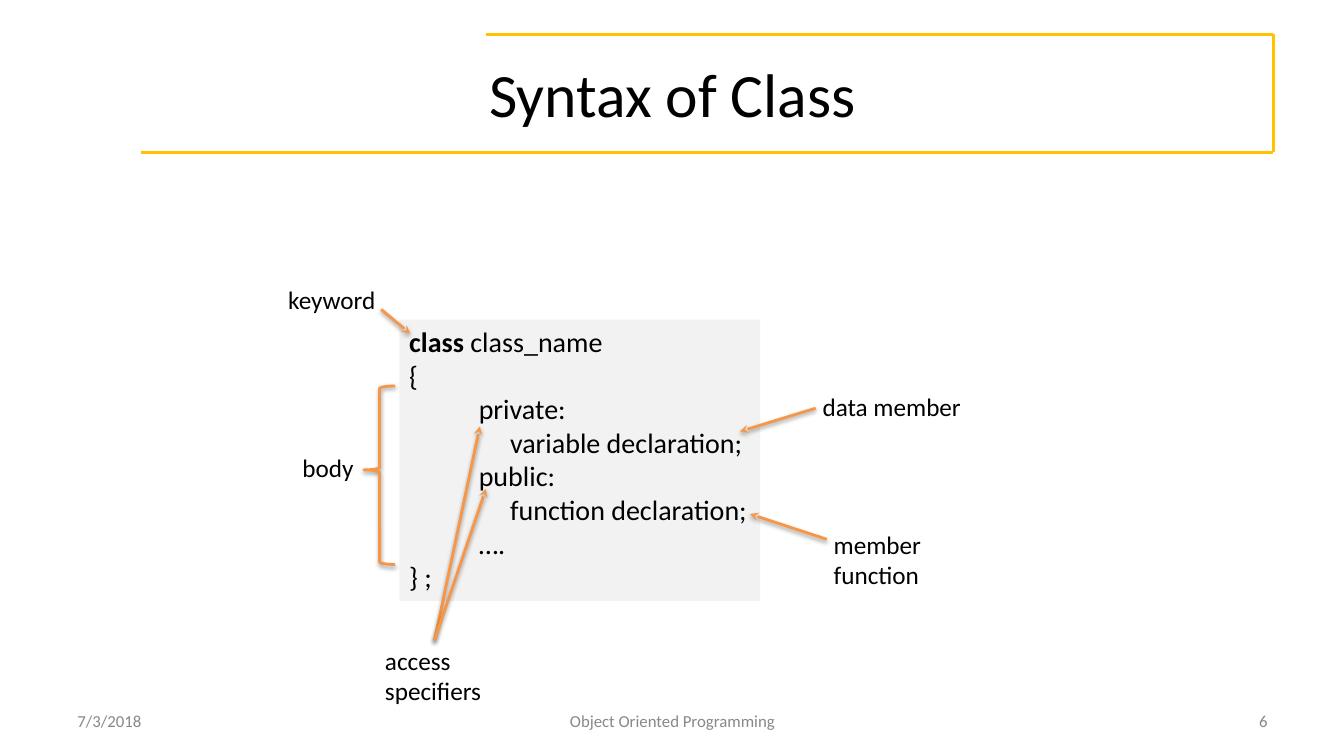
from lxml import etree
from pptx import Presentation
from pptx.dml.color import RGBColor
from pptx.enum.shapes import MSO_CONNECTOR, MSO_SHAPE
from pptx.enum.text import MSO_ANCHOR, PP_ALIGN
from pptx.oxml.ns import qn
from pptx.util import Emu, Pt

PX = 9144  # 100 px to the inch
FONT = "Calibri"
COLORS = {
    "frame": "FFC100",
    "accent": "F79646",
    "panel": "F2F2F2",
    "text": "000000",
    "footer": "888888",
    "shadow": "000000",
}
LEFT, CENTER, RIGHT = PP_ALIGN.LEFT, PP_ALIGN.CENTER, PP_ALIGN.RIGHT
TOP, MIDDLE = MSO_ANCHOR.TOP, MSO_ANCHOR.MIDDLE
STRAIGHT = MSO_CONNECTOR.STRAIGHT
RECTANGLE, LEFT_BRACE = MSO_SHAPE.RECTANGLE, MSO_SHAPE.LEFT_BRACE

FRAME = [(482, 34), (1263, 34), (1263, 151), (140, 151)]
# Each code line is its indent and its runs, as (text, bold).
CODE = [
    (0, [("class", True), (" class_name", False)]),
    (0, [("{", False)]),
    (69, [("private:", False)]),
    (100, [("variable declaration;", False)]),
    (69, [("public:", False)]),
    (100, [("function declaration;", False)]),
    (69, [("….", False)]),
    (0, [("} ;", False)]),
]
LABELS = [
    ("keyword", (276, 277, 108, 40)),
    ("body", (290, 444, 72, 40)),
    ("data member", (806, 383, 159, 40)),
    ("member\nfunction", (817, 520, 114, 71)),
    ("access\nspecifiers", (372, 635, 117, 71)),
]
ARROWS = [
    ((378, 307), (407, 331)),
    ((809, 405), (734, 428)),
    ((820, 535), (744, 510)),
    ((431, 635), (476, 423)),
    ((431, 635), (482, 485)),
]
FOOTERS = [
    ("7/3/2018", (67, 695, 311, 40), LEFT),
    ("Object Oriented Programming", (456, 695, 422, 40), CENTER),
    ("6", (956, 695, 311, 40), RIGHT),
]


def px(*values):
    return [Emu(v * PX) for v in values]


def rgb(name):
    return RGBColor.from_string(COLORS[name])


def add_run(p, text, size, color="text", bold=False):
    r = p.add_run()
    r.text = text
    r.font.name = FONT
    r.font.size = Pt(size)
    r.font.bold = bold
    r.font.color.rgb = rgb(color)


def add_text(s, text, box, size, color="text", align=LEFT, anchor=TOP, wrap=True):
    """Add a text box with one paragraph for each line of text."""
    tf = s.shapes.add_textbox(*px(*box)).text_frame
    tf.word_wrap = wrap
    tf.vertical_anchor = anchor
    for i, line in enumerate(text.split("\n")):
        p = tf.add_paragraph() if i else tf.paragraphs[0]
        p.alignment = align
        add_run(p, line, size, color)


def style_line(sp, color):
    sp.line.color.rgb = rgb(color)
    sp.line.width = Pt(2)


def set_effects(sp, shadow=False):
    """Replace the theme's effects by a soft shadow below, or by none."""
    spPr = sp._element.spPr
    for old in spPr.findall(qn("a:effectLst")):
        spPr.remove(old)
    effects = etree.SubElement(spPr, qn("a:effectLst"))
    if shadow:
        outer = etree.SubElement(effects, qn("a:outerShdw"), blurRad="40000",
                                 dist="20000", dir="5400000", rotWithShape="0")
        clr = etree.SubElement(outer, qn("a:srgbClr"), val=COLORS["shadow"])
        etree.SubElement(clr, qn("a:alpha"), val="38000")


def add_line(s, start, end, color, arrow=False):
    sp = s.shapes.add_connector(STRAIGHT, *px(*start, *end))
    style_line(sp, color)
    if arrow:
        etree.SubElement(sp.line._get_or_add_ln(), qn("a:tailEnd"), type="stealth")
    set_effects(sp, shadow=arrow)


def add_code_panel(s, box):
    sp = s.shapes.add_shape(RECTANGLE, *px(*box))
    sp.fill.solid()
    sp.fill.fore_color.rgb = rgb("panel")
    sp.line.fill.background()
    sp.shadow.inherit = False
    tf = sp.text_frame
    tf.word_wrap = True
    tf.vertical_anchor = TOP
    for i, (indent, runs) in enumerate(CODE):
        p = tf.add_paragraph() if i else tf.paragraphs[0]
        p.alignment = LEFT
        pPr = p._p.get_or_add_pPr()
        pPr.set("marL", str(indent * PX))
        pPr.set("indent", "0")
        for text, bold in runs:
            add_run(p, text, 20, bold=bold)


def add_brace(s, box):
    sp = s.shapes.add_shape(LEFT_BRACE, *px(*box))
    sp.adjustments[0] = 0.08
    sp.adjustments[1] = 0.47
    sp.fill.background()
    style_line(sp, "accent")
    set_effects(sp, shadow=True)


def main():
    prs = Presentation()
    prs.slide_width, prs.slide_height = px(1333, 750)
    s = prs.slides.add_slide(prs.slide_layouts[6])

    for start, end in zip(FRAME, FRAME[1:]):
        add_line(s, start, end, "frame")
    add_text(s, "Syntax of Class", (67, 30, 1200, 125), 44, align=CENTER, anchor=MIDDLE)

    add_code_panel(s, (396, 317, 358, 279))
    add_brace(s, (361, 383, 31, 177))
    for start, end in ARROWS:
        add_line(s, start, end, "accent", arrow=True)
    for text, box in LABELS:
        add_text(s, text, box, 18, wrap=False)
    for text, box, align in FOOTERS:
        add_text(s, text, box, 12, color="footer", align=align, anchor=MIDDLE)

    prs.save("out.pptx")


if __name__ == "__main__":
    main()
